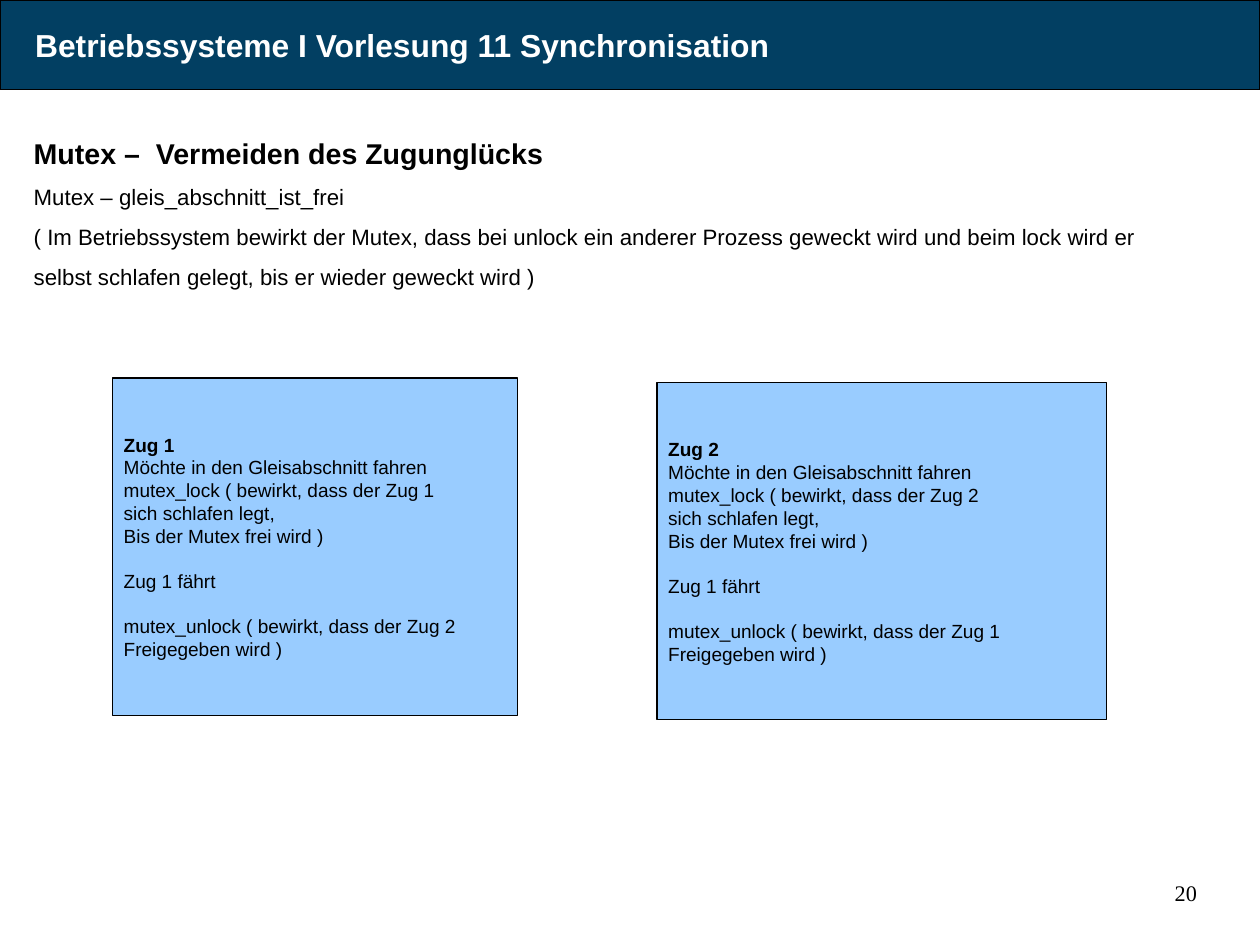
from pptx import Presentation
from pptx.dml.color import RGBColor
from pptx.enum.shapes import MSO_SHAPE
from pptx.enum.text import MSO_ANCHOR, MSO_AUTO_SIZE, PP_ALIGN
from pptx.util import Cm, Pt

RECTANGLE = MSO_SHAPE.RECTANGLE
MIDDLE, TOP = MSO_ANCHOR.MIDDLE, MSO_ANCHOR.TOP
LEFT, RIGHT = PP_ALIGN.LEFT, PP_ALIGN.RIGHT
NO_AUTOFIT = MSO_AUTO_SIZE.NONE
TITLE_ONLY = 5

NAVY = RGBColor(0x02, 0x3F, 0x62)
SKY = RGBColor(0x99, 0xCC, 0xFF)
BLACK = RGBColor(0, 0, 0)
WHITE = RGBColor(0xFF, 0xFF, 0xFF)

WIDTH, HEIGHT = 28, 21
BLANK_LINE = Pt(14)


def lengths(box):
    """Convert a left, top, width, height box from centimetres."""
    return [Cm(length) for length in box]


def set_frame(frame, margins, anchor=TOP):
    """Set the margins, anchor and wrapping of a text frame."""
    frame.margin_left = frame.margin_right = Cm(margins[0])
    frame.margin_top = frame.margin_bottom = Cm(margins[1])
    frame.vertical_anchor = anchor
    frame.word_wrap = True
    frame.auto_size = NO_AUTOFIT


def style(paragraph, size, bold=False, color=BLACK, font="Arial", align=LEFT):
    """Format the runs and the alignment of a paragraph."""
    paragraph.alignment = align
    for run in paragraph.runs:
        run.font.name = font
        run.font.size = Pt(size)
        run.font.bold = bold
        run.font.color.rgb = color


def paint(shape, fill):
    """Give a shape a solid fill and a black hairline."""
    shape.fill.solid()
    shape.fill.fore_color.rgb = fill
    shape.line.color.rgb = BLACK
    shape.line.width = Pt(0)


def add_header(slide, box):
    """Turn the title placeholder into the lecture's header bar."""
    header = slide.shapes.title
    header.left, header.top, header.width, header.height = lengths(box)
    paint(header, NAVY)
    frame = header.text_frame
    set_frame(frame, (0.78, 0), MIDDLE)
    frame.text = "Betriebssysteme I Vorlesung 11 Synchronisation"
    style(frame.paragraphs[0], 20, bold=True, color=WHITE)


def add_explanation(slide, box):
    """Write the topic heading and the explanation of the mutex."""
    frame = slide.shapes.add_textbox(*lengths(box)).text_frame
    set_frame(frame, (0.25, 0.13))
    frame.text = "\n".join([
        "Mutex –  Vermeiden des Zugunglücks",
        "Mutex – gleis_abschnitt_ist_frei",
        "( Im Betriebssystem bewirkt der Mutex, dass bei unlock ein anderer "
        "Prozess geweckt wird und beim lock wird er selbst schlafen gelegt, "
        "bis er wieder geweckt wird )",
    ])
    for index, paragraph in enumerate(frame.paragraphs):
        paragraph.line_spacing = 1.5
        style(paragraph, 14 if index else 18, bold=index == 0)


def add_train(slide, box, train, other):
    """Draw the box with the steps of one train."""
    steps = slide.shapes.add_shape(RECTANGLE, *lengths(box))
    steps.shadow.inherit = False
    paint(steps, SKY)
    frame = steps.text_frame
    set_frame(frame, (0.25, 0.13), MIDDLE)
    groups = [
        [f"Zug {train}",
         "Möchte in den Gleisabschnitt fahren",
         f"mutex_lock ( bewirkt, dass der Zug {train}",
         "sich schlafen legt,",
         "Bis der Mutex frei wird )"],
        ["Zug 1 fährt"],
        [f"mutex_unlock ( bewirkt, dass der Zug {other}",
         "Freigegeben wird )"],
    ]
    frame.text = "\n".join(line for group in groups for line in group)
    group_starts = (len(groups[0]), len(groups[0]) + len(groups[1]))
    for index, paragraph in enumerate(frame.paragraphs):
        style(paragraph, 12, bold=index == 0)
        if index in group_starts:
            paragraph.space_before = BLANK_LINE


def add_page_number(slide, box):
    """Write the page number at the bottom right."""
    frame = slide.shapes.add_textbox(*lengths(box)).text_frame
    set_frame(frame, (0, 0))
    frame.text = "20"
    style(frame.paragraphs[0], 14, font="Times New Roman", align=RIGHT)


def main():
    """Build the slide and save it."""
    deck = Presentation()
    deck.slide_width, deck.slide_height = Cm(WIDTH), Cm(HEIGHT)
    slide = deck.slides.add_slide(deck.slide_layouts[TITLE_ONLY])
    add_header(slide, (0, 0, WIDTH, 2))
    add_explanation(slide, (0.5, 2.5, 26, 18.2))
    add_train(slide, (2.5, 8.4, 9, 7.5), 1, 2)
    add_train(slide, (14.6, 8.5, 10, 7.5), 2, 1)
    add_page_number(slide, (20.07, 19.53, 6.53, 1.45))
    deck.save("out.pptx")


if __name__ == "__main__":
    main()
